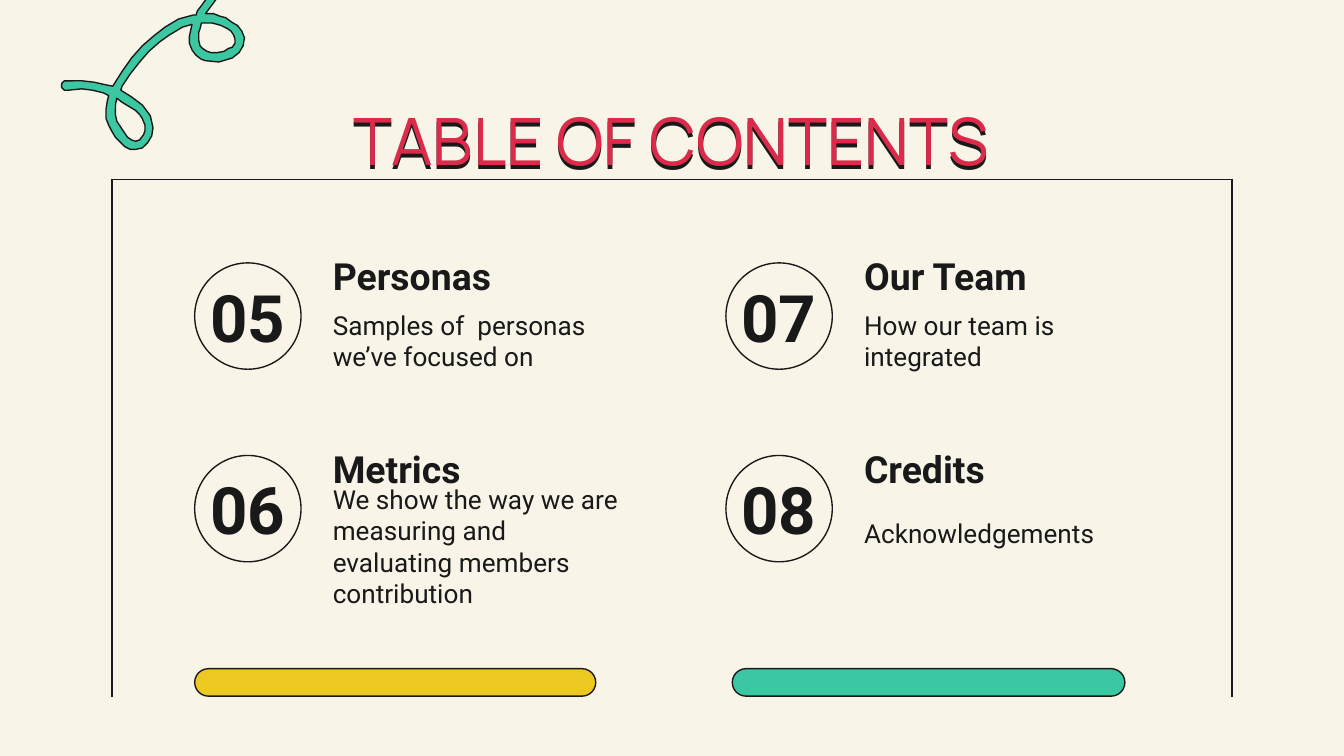
import math

from lxml import etree
from pptx import Presentation, util as u
from pptx.dml.color import RGBColor
from pptx.enum import shapes, text
from pptx.oxml.ns import qn

INK, CREAM, RED, GREEN, YELLOW = "191919", "F8F5E8", "DB2A4A", "3BC7A2", "EBC920"


def paint(shape, fill=None):
    """Ink outline, optional fill, no shadow."""
    shape.shadow.inherit = False
    shape.line.color.rgb = RGBColor.from_string(INK)
    shape.line.width = u.Pt(0.75)
    if fill:
        shape.fill.solid()
        shape.fill.fore_color.rgb = RGBColor.from_string(fill)
    else:
        shape.fill.background()


def write(box, words, size, font="Roboto", color=INK, bold=False, centred=False, after=0):
    frame = box.text_frame
    frame.word_wrap = True
    frame.auto_size = text.MSO_AUTO_SIZE.NONE
    frame.vertical_anchor = text.MSO_ANCHOR.MIDDLE
    frame.margin_left = frame.margin_right = u.Cm(0.25)
    frame.margin_top = frame.margin_bottom = u.Cm(0.25)
    para = frame.paragraphs[0]
    para.alignment = text.PP_ALIGN.CENTER if centred else text.PP_ALIGN.LEFT
    para.space_before = u.Pt(0)
    para.space_after = u.Pt(after)
    span = para.add_run()
    span.text = words
    span.font.name = font
    span.font.size = u.Pt(size)
    span.font.bold = bold
    span.font.color.rgb = RGBColor.from_string(color)


deck = Presentation()
deck.slide_width, deck.slide_height = u.Cm(25.4), u.Cm(14.29)
page = deck.slides.add_slide(deck.slide_layouts[5])
page.background.fill.solid()
page.background.fill.fore_color.rgb = RGBColor.from_string(CREAM)

# Frame, open at the bottom
left, right, top, bottom = 2.12, 23.28, 3.39, 13.18
for ends in [(right, top, right, bottom), (left, top, left, bottom), (right, top, left, top)]:
    line = page.shapes.add_connector(shapes.MSO_CONNECTOR.STRAIGHT, *map(u.Cm, ends))
    line.line.color.rgb = RGBColor.from_string(INK)
    line.line.width = u.Pt(0.75)
    etree.SubElement(line._element.spPr, qn("a:effectLst"))

# Curled ribbon: its outline and two loop holes, in hundredths of an inch
ribbon = [
    (209, -34), (198, -34), (188, -31), (179, -27), (170, -20), (158, -8), (153, 0),
    (147, 8), (146, 11), (144, 11), (133, 14), (123, 20), (114, 27), (106, 34), (98, 43),
    (91, 53), (84, 64), (79, 63), (70, 61), (61, 60), (48, 60), (46, 62), (46, 65),
    (48, 67), (51, 67), (61, 66), (69, 67), (77, 69), (81, 71), (80, 75), (79, 81),
    (79, 88), (81, 93), (83, 97), (86, 102), (90, 106), (93, 109), (97, 111), (101, 111),
    (106, 110), (110, 106), (113, 101), (114, 95), (112, 86), (106, 78), (98, 72),
    (90, 67), (91, 64), (97, 55), (104, 46), (111, 38), (119, 31), (126, 26), (136, 20),
    (143, 18), (141, 27), (141, 32), (143, 37), (146, 41), (150, 44), (153, 45),
    (163, 46), (173, 43), (178, 39), (181, 34), (182, 28), (180, 23), (177, 19),
    (172, 16), (168, 13), (164, 12), (159, 10), (153, 10), (159, 2), (164, -5),
    (169, -10), (177, -18), (184, -22), (192, -25), (201, -28), (208, -27), (211, -29),
    (212, -31), (211, -33),
]
upper_loop = [
    (162, 18), (165, 19), (169, 21), (172, 23), (174, 26), (175, 29), (175, 32),
    (173, 35), (170, 36), (167, 38), (162, 39), (157, 39), (154, 38), (151, 36),
    (149, 34), (148, 30), (148, 24), (149, 21), (150, 17), (154, 17), (158, 17),
]
lower_loop = [
    (87, 73), (91, 76), (96, 79), (101, 82), (104, 85), (106, 88), (108, 93), (108, 97),
    (107, 100), (104, 104), (101, 105), (98, 104), (95, 102), (91, 96), (87, 90),
    (86, 85), (86, 78),
]
tilt = 17.4
cos, sin = math.cos(math.radians(tilt)), math.sin(math.radians(tilt))
centre_x, centre_y = 125, 30
builder = None
for contour in (ribbon, upper_loop, lower_loop):
    level = []
    for x, y in contour:
        across, down = x - centre_x, y - centre_y
        level.append((u.Cm(0.0254 * (centre_x + across * cos + down * sin)),
                      u.Cm(0.0254 * (centre_y - across * sin + down * cos))))
    if builder is None:
        builder = page.shapes.build_freeform(*level[0])
    else:
        builder.move_to(*level[0])
    builder.add_line_segments(level[1:], close=True)
curl = builder.convert_to_shape()
curl.rotation = tilt
paint(curl, GREEN)

for x, width, color in [(3.68, 7.58, YELLOW), (13.84, 7.42, GREEN)]:
    bar = page.shapes.add_shape(shapes.MSO_SHAPE.ROUNDED_RECTANGLE,
                                u.Cm(x), u.Cm(12.64), u.Cm(width), u.Cm(0.52))
    bar.adjustments[0] = 0.5
    paint(bar, color)

title = page.shapes.title
title.left, title.top, title.width, title.height = map(u.Cm, (4.06, 1.88, 17.27, 1.52))
write(title, "TABLE OF CONTENTS", 35, "Manrope", RED, centred=True)
effects = etree.SubElement(title._element.spPr, qn("a:effectLst"))
shadow = etree.SubElement(effects, qn("a:outerShdw"), dist="28575", dir="5400000",
                          algn="bl", rotWithShape="0")
etree.SubElement(shadow, qn("a:srgbClr"), val=INK)

# Heading, heading width, description, description width and height
topics = [
    ("Personas", 6.12, "Samples of  personas we’ve focused on", 5.82, 1.52),
    ("Metrics", 5.82, "We show the way we are measuring and evaluating members contribution",
     6.02, 2.01),
    ("Our Team", 5.82, "How our team is integrated", 5.82, 1.52),
    ("Credits", 5.82, "Acknowledgements", 5.82, 1.52),
]
for index, (heading, heading_width, about, about_width, about_height) in enumerate(topics):
    column, row = divmod(index, 2)
    x, y = 3.68 + 10.04 * column, 4.97 + 3.64 * row
    circle = page.shapes.add_shape(shapes.MSO_SHAPE.OVAL,
                                   u.Cm(x), u.Cm(y), u.Cm(2.01), u.Cm(2.01))
    paint(circle)
    number = page.shapes.add_textbox(u.Cm(x - 0.18), u.Cm(y + 0.33), u.Cm(2.36), u.Cm(1.35))
    write(number, f"{index + 5:02}", 35, bold=True, centred=True)
    name = page.shapes.add_textbox(u.Cm(x + 2.36), u.Cm(y - 0.23), u.Cm(heading_width), u.Cm(0.94))
    write(name, heading, 20, bold=True)
    description = page.shapes.add_textbox(u.Cm(x + 2.36), u.Cm(y + 0.71),
                                          u.Cm(about_width), u.Cm(about_height))
    write(description, about, 14, after=12)

deck.save("out.pptx")
